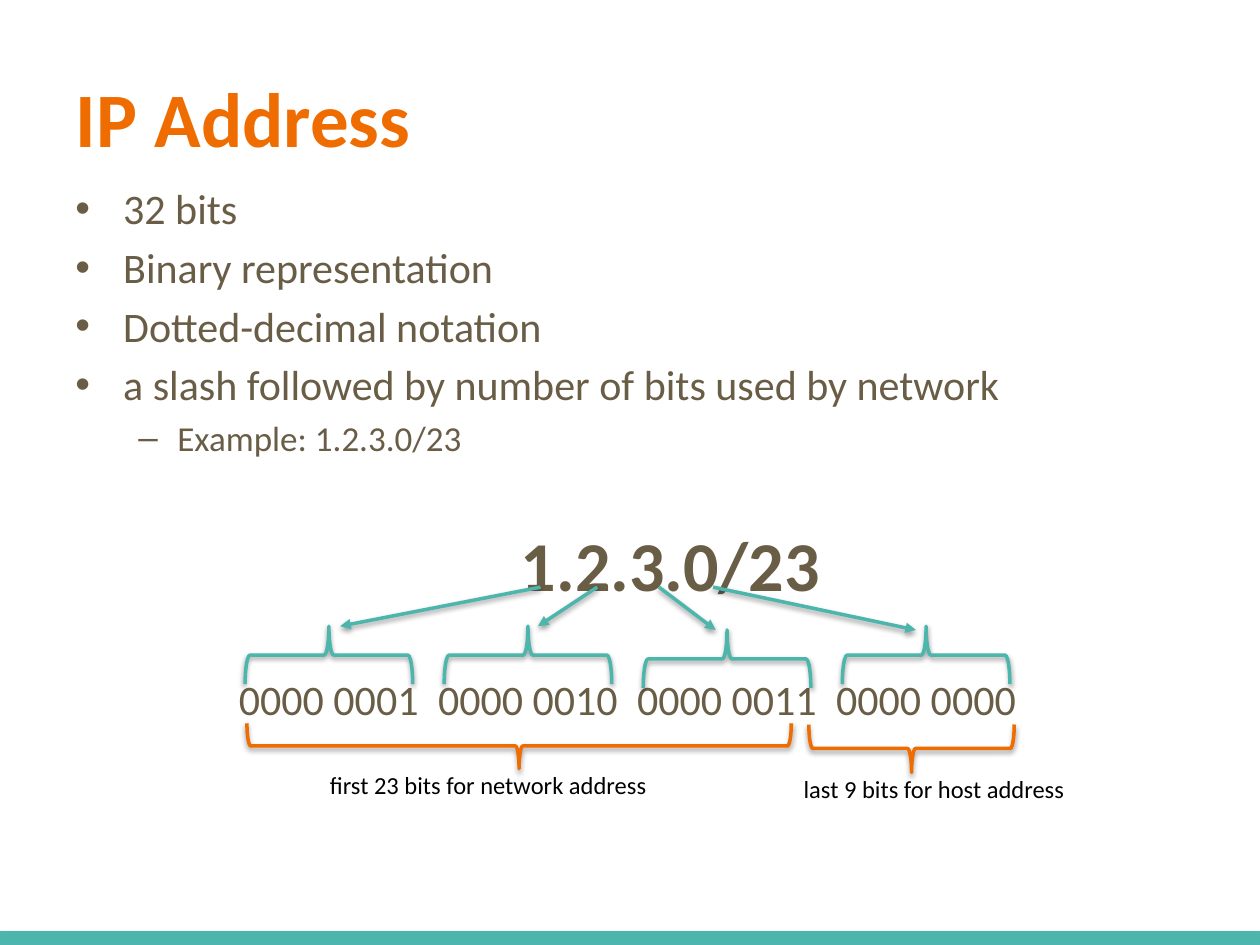
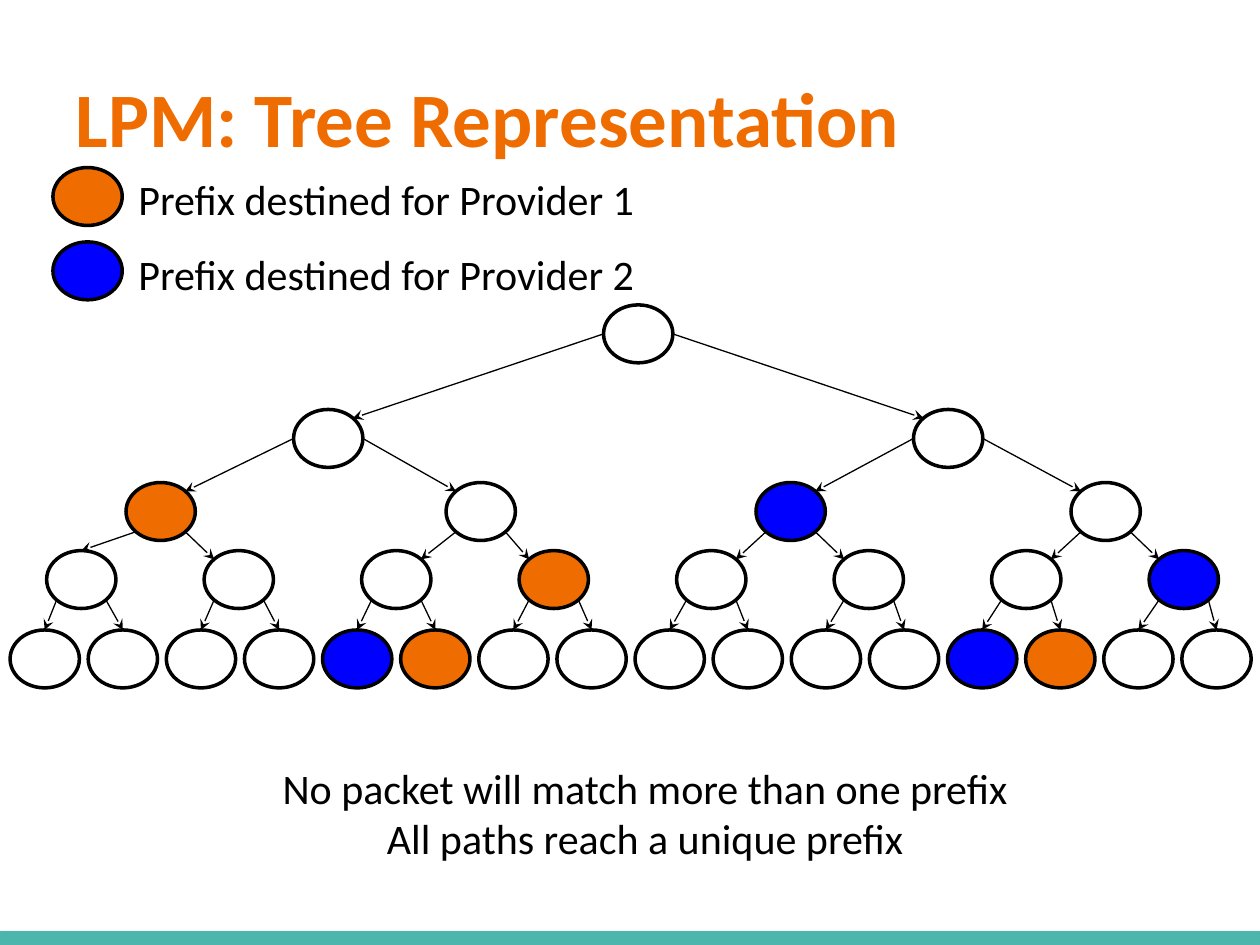
from dataclasses import dataclass
from typing import NamedTuple, Optional

from lxml import etree
from pptx import Presentation
from pptx import util as u
from pptx.dml.color import RGBColor
from pptx.enum import shapes, text
from pptx.oxml.ns import qn


@dataclass(frozen=True)
class Theme:
    font: str = "Calibri"
    orange: str = "EF6C00"
    teal: str = "4DB6AC"
    brown: str = "695D46"
    blue: str = "0000FF"
    black: str = "000000"
    white: str = "FFFFFF"
    title_size: float = 44
    address_size: float = 40
    body_size: float = 24
    sub_size: float = 20
    label_size: float = 14
    bar_width: float = 10
    heavy_line: float = 2
    thin_line: float = 0.75


THEME = Theme()


class Box(NamedTuple):
    left: float
    top: float
    width: float
    height: float

    def inches(self) -> tuple:
        return tuple(u.Inches(value) for value in self)


class Point(NamedTuple):
    x: float
    y: float


class Style(NamedTuple):
    size: float
    color: str
    bold: bool = False


class Bullet(NamedTuple):
    wording: str
    char: str
    size: float
    margin: float
    hanging: float
    before: float


class Octet(NamedTuple):
    bits: str
    arrow_start: Point
    arrow_end: Point
    brace_middle: float


class BitRange(NamedTuple):
    wording: str
    brace: Box
    label: Box


class Level(NamedTuple):
    top: float
    lefts: list
    providers: str


BODY = Style(THEME.body_size, THEME.brown)
NOTE = Style(THEME.body_size, THEME.black)

BULLETS = [
    Bullet(wording, "•", THEME.body_size, 0.38, 0.38, 4.8 if index else 0)
    for index, wording in enumerate([
        "32 bits",
        "Binary representation",
        "Dotted-decimal notation",
        "a slash followed by number of bits used by network",
    ])
] + [Bullet("Example: 1.2.3.0/23", "–", THEME.sub_size, 0.81, 0.31, 4)]

OCTETS = [
    Octet("0000 0001", Point(4.29, 4.66), Point(2.7, 4.97), 5.2),
    Octet("0000 0010", Point(4.74, 4.66), Point(4.27, 4.97), 5.2),
    Octet("0000 0011", Point(5.23, 4.66), Point(5.68, 5), 5.23),
    Octet("0000 0000", Point(5.66, 4.66), Point(7.27, 5), 5.2),
]
FIRST_OCTET_CENTER = 2.61
OCTET_PITCH = 1.58
OCTET_BRACE_WIDTH = 1.33
OCTET_BRACE_HEIGHT = 0.46

BIT_RANGES = [
    BitRange("first 23 bits for network address",
             Box(1.96, 5.74, 4.32, 0.36), Box(2.52, 6.06, 2.74, 0.34)),
    BitRange("last 9 bits for host address",
             Box(6.42, 5.75, 1.63, 0.38), Box(6.28, 6.09, 2.53, 0.34)),
]

NODE_WIDTH = 0.55
NODE_HEIGHT = 0.46
CORNER_X = 0.08
CORNER_Y = 0.07
PROVIDER_FILLS = {"-": THEME.white, "1": THEME.orange, "2": THEME.blue}
LEGEND_TOPS = {"1": 1.33, "2": 1.92}
LEVELS = [
    Level(2.42, [4.79], "-"),
    Level(3.25, [2.33, 7.25], "--"),
    Level(3.83, [1, 3.54, 6, 8.5], "1-2-"),
    Level(4.37, [0.37 + 1.25 * index for index in range(8)], "---1---2"),
    Level(5, [0.08 + 0.62 * index for index in range(16)], "----21------21--"),
]


def format_paragraph(paragraph, style: Style, align=text.PP_ALIGN.LEFT) -> None:
    paragraph.alignment = align
    for run in paragraph.runs:
        run.font.name = THEME.font
        run.font.size = u.Pt(style.size)
        run.font.bold = style.bold
        run.font.color.rgb = RGBColor.from_string(style.color)


def add_text(slide, box: Box, wording: str, style: Style, align=text.PP_ALIGN.LEFT):
    shape = slide.shapes.add_textbox(*box.inches())
    frame = shape.text_frame
    frame.word_wrap = True
    frame.text = wording
    for paragraph in frame.paragraphs:
        format_paragraph(paragraph, style, align)
    return shape


def set_line(item, color: str, width: float) -> None:
    item.line.color.rgb = RGBColor.from_string(color)
    item.line.width = u.Pt(width)


def set_effects(item, shadowed: bool) -> None:
    effects = etree.SubElement(item.element.spPr, qn("a:effectLst"))
    if shadowed:
        shadow = etree.SubElement(
            effects, qn("a:outerShdw"), blurRad=str(u.Pt(3.1)), dist=str(u.Pt(1.6)),
            dir="5400000", rotWithShape="0")
        color = etree.SubElement(shadow, qn("a:srgbClr"), val=THEME.black)
        etree.SubElement(color, qn("a:alpha"), val="38000")


def add_line(slide, start: Point, end: Point, color: str, width: float,
             arrowhead: Optional[str] = None, shadowed: bool = False) -> None:
    connector = slide.shapes.add_connector(
        shapes.MSO_CONNECTOR.STRAIGHT,
        *(u.Inches(value) for value in (*start, *end)))
    set_line(connector, color, width)
    if arrowhead:
        etree.SubElement(connector.line._get_or_add_ln(), qn("a:tailEnd"), type=arrowhead)
    set_effects(connector, shadowed)


def add_brace(slide, box: Box, color: str, rotation: float) -> None:
    center_x = box.left + box.width / 2
    center_y = box.top + box.height / 2
    upright = Box(center_x - box.height / 2, center_y - box.width / 2,
                  box.height, box.width)
    shape = slide.shapes.add_shape(shapes.MSO_SHAPE.LEFT_BRACE, *upright.inches())
    shape.rotation = rotation
    shape.fill.background()
    set_line(shape, color, THEME.heavy_line)
    set_effects(shape, True)


def add_node(slide, left: float, top: float, fill: str) -> None:
    shape = slide.shapes.add_shape(
        shapes.MSO_SHAPE.OVAL, *Box(left, top, NODE_WIDTH, NODE_HEIGHT).inches())
    shape.shadow.inherit = False
    shape.fill.solid()
    shape.fill.fore_color.rgb = RGBColor.from_string(fill)
    set_line(shape, THEME.black, THEME.heavy_line)


def add_titled_slide(presentation, wording: str):
    slide = presentation.slides.add_slide(presentation.slide_layouts[5])
    add_line(slide, Point(0, 7.46), Point(10, 7.46), THEME.teal, THEME.bar_width,
             shadowed=True)
    title = slide.shapes.title
    title.left, title.top, title.width, title.height = Box(0.5, 0.3, 9, 1.25).inches()
    frame = title.text_frame
    frame.text = wording
    frame.auto_size = text.MSO_AUTO_SIZE.NONE
    frame.vertical_anchor = text.MSO_ANCHOR.MIDDLE
    format_paragraph(frame.paragraphs[0], Style(THEME.title_size, THEME.orange, True))
    return slide


def add_bullets(slide, box: Box, bullets: list) -> None:
    shape = add_text(slide, box, "\n".join(bullet.wording for bullet in bullets), BODY)
    for paragraph, bullet in zip(shape.text_frame.paragraphs, bullets):
        format_paragraph(paragraph, Style(bullet.size, THEME.brown))
        paragraph.space_before = u.Pt(bullet.before)
        properties = paragraph._p.get_or_add_pPr()
        properties.set("marL", str(u.Inches(bullet.margin)))
        properties.set("indent", str(u.Inches(-bullet.hanging)))
        etree.SubElement(properties, qn("a:buFont"), typeface="Arial")
        etree.SubElement(properties, qn("a:buChar"), char=bullet.char)


def build_address_slide(presentation) -> None:
    slide = add_titled_slide(presentation, "IP Address")
    add_bullets(slide, Box(0.5, 1.4, 9, 2.4), BULLETS)
    add_text(slide, Box(3.82, 4.09, 3, 0.78), "1.2.3.0/23",
             Style(THEME.address_size, THEME.brown, True), text.PP_ALIGN.CENTER)
    for index, octet in enumerate(OCTETS):
        center = FIRST_OCTET_CENTER + index * OCTET_PITCH
        add_text(slide, Box(center - 0.85, 5.3, 1.7, 0.5), octet.bits, BODY,
                 text.PP_ALIGN.CENTER)
        add_line(slide, octet.arrow_start, octet.arrow_end, THEME.teal,
                 THEME.heavy_line, "triangle", True)
        add_brace(slide, Box(center - OCTET_BRACE_WIDTH / 2,
                             octet.brace_middle - OCTET_BRACE_HEIGHT / 2,
                             OCTET_BRACE_WIDTH, OCTET_BRACE_HEIGHT), THEME.teal, 90)
    for bit_range in BIT_RANGES:
        add_brace(slide, bit_range.brace, THEME.orange, 270)
        add_text(slide, bit_range.label, bit_range.wording,
                 Style(THEME.label_size, THEME.black))


def corner_x(left: float, on_right: bool) -> float:
    return left + (NODE_WIDTH - CORNER_X if on_right else CORNER_X)


def add_edge(slide, depth: int, parent: int, on_right: bool) -> None:
    level, below = LEVELS[depth], LEVELS[depth + 1]
    left, child_left = level.lefts[parent], below.lefts[2 * parent + on_right]
    if depth < 2:
        start = Point(left + NODE_WIDTH * on_right, level.top + NODE_HEIGHT / 2)
    else:
        start = Point(corner_x(left, on_right), level.top + NODE_HEIGHT - CORNER_Y)
    if depth == 3 or (depth, parent, on_right) == (2, 0, False):
        end = Point(child_left + NODE_WIDTH / 2, below.top)
    else:
        end = Point(corner_x(child_left, not on_right), below.top + CORNER_Y)
    add_line(slide, start, end, THEME.black, THEME.thin_line, "stealth")


def build_tree_slide(presentation) -> None:
    slide = add_titled_slide(presentation, "LPM: Tree Representation")
    for level in LEVELS:
        for left, provider in zip(level.lefts, level.providers):
            add_node(slide, left, level.top, PROVIDER_FILLS[provider])
    for depth, level in enumerate(LEVELS[:-1]):
        for parent in range(len(level.lefts)):
            for on_right in (False, True):
                add_edge(slide, depth, parent, on_right)
    for provider, top in LEGEND_TOPS.items():
        add_node(slide, 0.42, top, PROVIDER_FILLS[provider])
        add_text(slide, Box(1, top, 6.33, 0.5),
                 f"Prefix destined for Provider {provider}", NOTE)
    add_text(slide, Box(1.08, 6, 8.08, 0.91),
             "No packet will match more than one prefix\nAll paths reach a unique prefix",
             NOTE, text.PP_ALIGN.CENTER)


def main() -> None:
    presentation = Presentation()
    presentation.slide_width = u.Inches(10)
    presentation.slide_height = u.Inches(7.5)
    build_address_slide(presentation)
    build_tree_slide(presentation)
    presentation.save("out.pptx")


if __name__ == "__main__":
    main()
